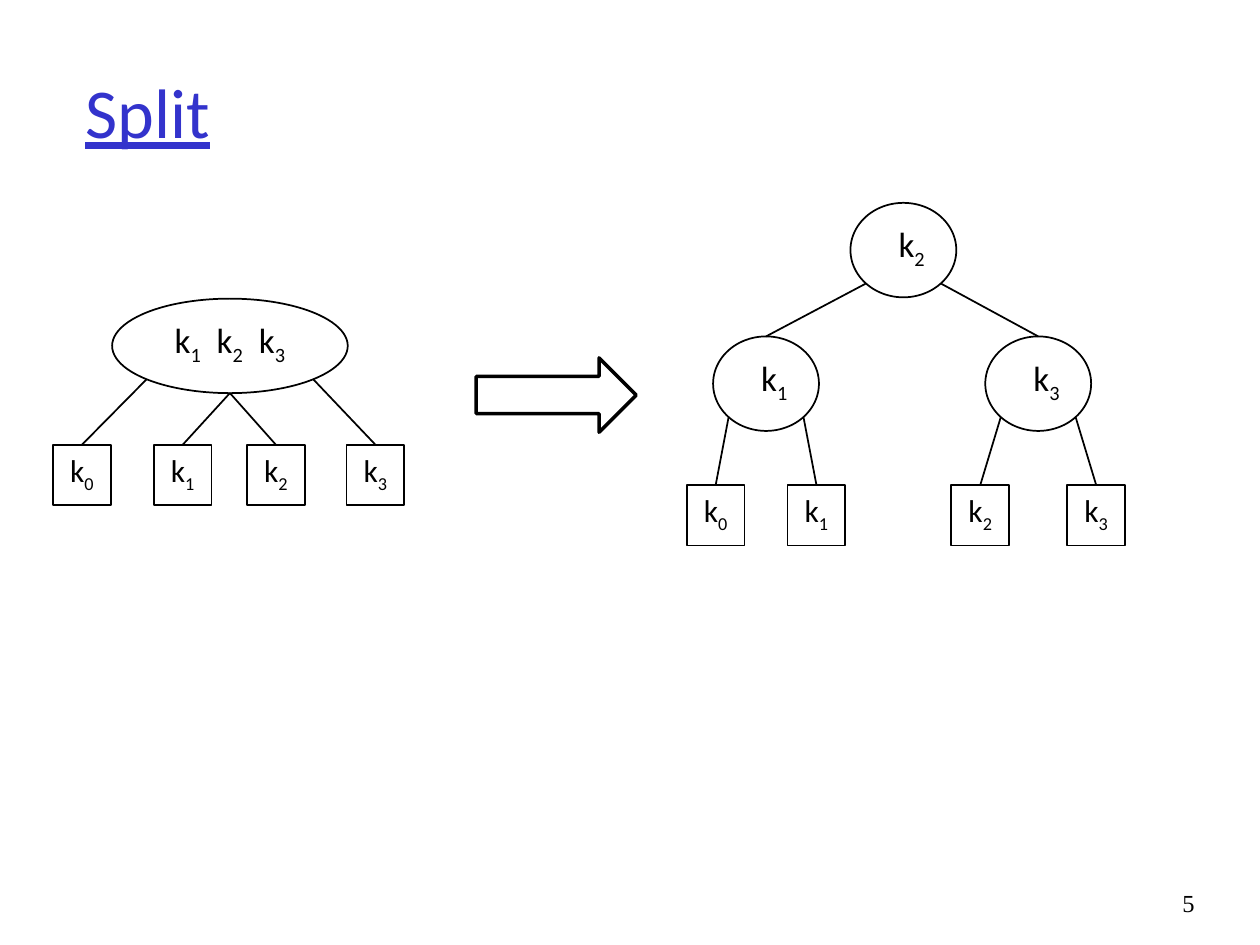
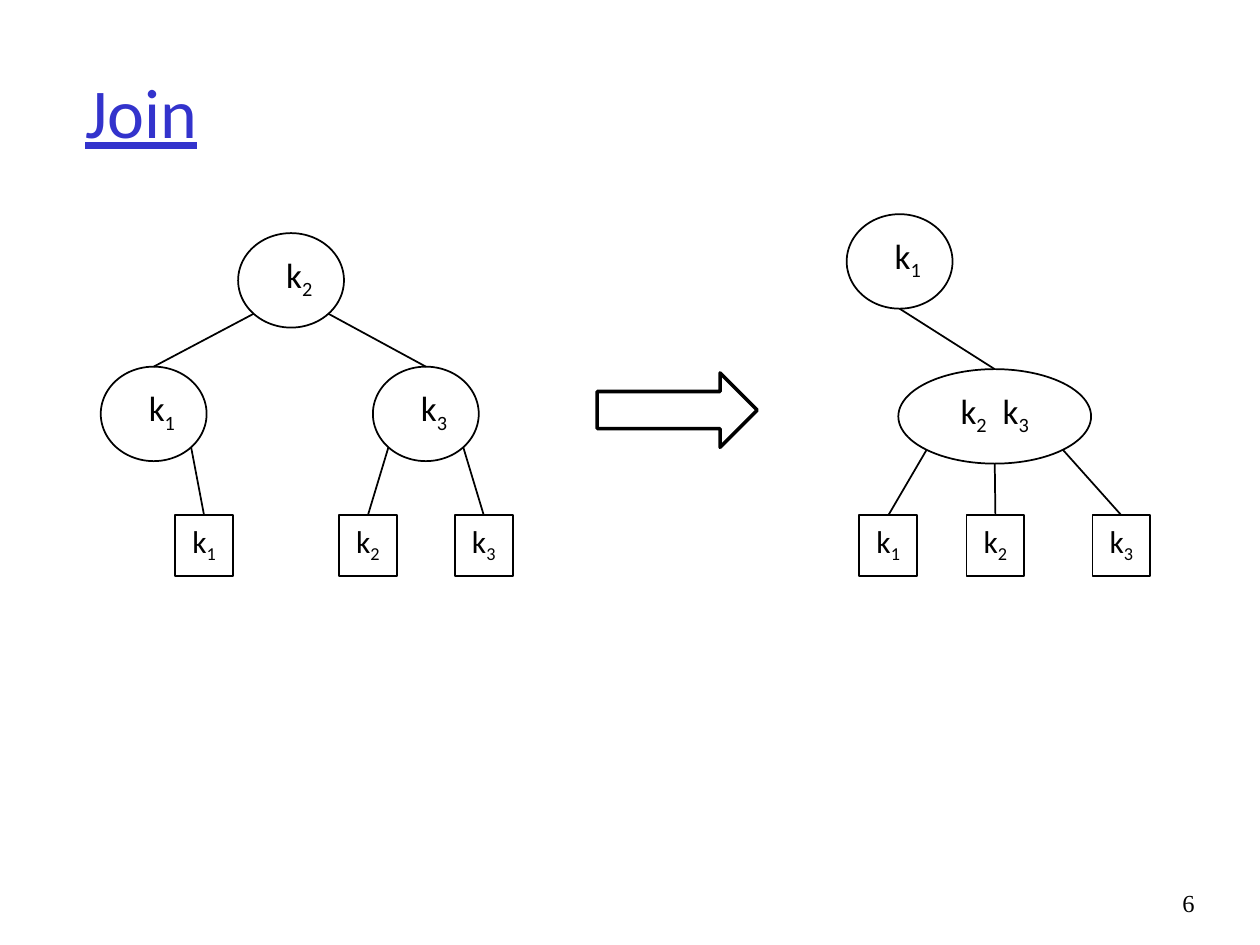
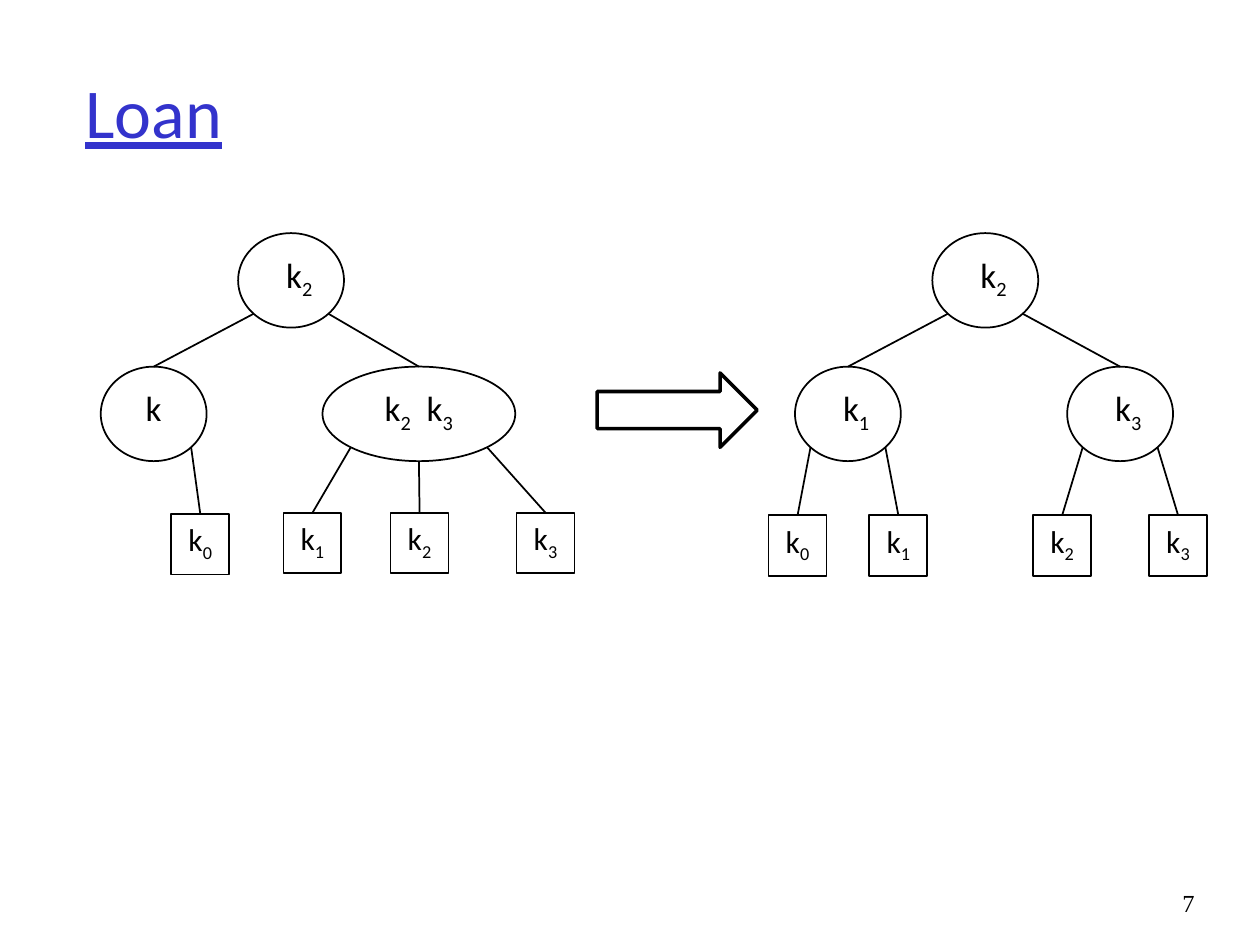
from dataclasses import dataclass
from itertools import groupby
from math import sqrt

from lxml import etree
from pptx import Presentation
from pptx.dml.color import RGBColor
from pptx.enum import shapes, text
from pptx.oxml import ns
from pptx.util import Inches, Pt


@dataclass(frozen=True)
class Theme:
    title_color: RGBColor = RGBColor(0x33, 0x33, 0xCC)
    ink: RGBColor = RGBColor(0, 0, 0)
    font: str = "Calibri"
    number_font: str = "Times New Roman"
    title_size: int = 40
    number_size: int = 14
    thin: int = 1
    thick: int = 2


theme = Theme()

# Node kinds: preset shape, width, height, text size, extra left margin
OVAL, RECTANGLE = shapes.MSO_SHAPE.OVAL, shapes.MSO_SHAPE.RECTANGLE
kinds = {
    "single": (OVAL, 0.84, 0.75, 20, 0.13),
    "plain": (OVAL, 0.84, 0.75, 20, 0),
    "double": (OVAL, 1.53, 0.75, 20, 0),
    "triple": (OVAL, 1.87, 0.75, 20, 0),
    "leaf": (RECTANGLE, 0.46, 0.48, 18, 0),
}

# Trees: label, kind, offset from the root, parent label,
# side of the parent where the edge starts (-1 left, 0 bottom, 1 right)
triple_root = [
    ("k1  k2  k3", "triple", 0, 0, None, 0),
    ("k0", "leaf", -0.47, 1.16, "k1  k2  k3", -1),
    ("k1", "leaf", 0.33, 1.16, "k1  k2  k3", 0),
    ("k2", "leaf", 1.07, 1.16, "k1  k2  k3", 0),
    ("k3", "leaf", 1.86, 1.16, "k1  k2  k3", 1),
]
binary = [
    ("k2", "single", 0, 0, None, 0),
    ("k1", "single", -1.09, 1.06, "k2", -1),
    ("k3", "single", 1.07, 1.06, "k2", 1),
    ("k0", "leaf", -1.3, 2.24, "k1", -1),
    ("k1", "leaf", -0.5, 2.24, "k1", 1),
    ("k2", "leaf", 0.8, 2.24, "k3", -1),
    ("k3", "leaf", 1.72, 2.24, "k3", 1),
]
binary_without_k0 = [node for node in binary if node[0] != "k0"]
double_leaves = [("k1", -0.31, -1), ("k2", 0.54, 0), ("k3", 1.54, 1)]
joined = [
    ("k1", "single", 0, 0, None, 0),
    ("k2  k3", "double", 0.41, 1.23, "k1", 0),
] + [(label, "leaf", 0.41 + offset, 2.39, "k2  k3", side)
     for label, offset, side in double_leaves]
lender = [
    ("k2", "single", 0, 0, None, 0),
    ("k", "plain", -1.09, 1.06, "k2", -1),
    ("k2  k3", "double", 0.67, 1.06, "k2", 1),
    ("k0", "leaf", -0.53, 2.23, "k", 1),
] + [(label, "leaf", 0.67 + offset, 2.22, "k2  k3", side)
     for label, offset, side in double_leaves]

# Slides: title, number, arrow position, trees with the position of their root
slides = [
    ("Split", "5", (3.78, 2.84), [(triple_root, 0.89, 2.37), (binary, 6.75, 1.61)]),
    ("Join", "6", (4.74, 2.96), [(binary_without_k0, 1.89, 1.85), (joined, 6.72, 1.7)]),
    ("Loan", "7", (4.74, 2.96), [(lender, 1.89, 1.85), (binary, 7.4, 1.85)]),
]


def add_outline(slide, preset, left, top, width, height, line_width):
    shape = slide.shapes.add_shape(
        preset, Inches(left), Inches(top), Inches(width), Inches(height))
    shape.shadow.inherit = False
    shape.fill.background()
    shape.line.color.rgb = theme.ink
    shape.line.width = Pt(line_width)
    return shape


def add_text(slide, content, box, font, size, color):
    textbox = slide.shapes.add_textbox(*[Inches(length) for length in box])
    textbox.text_frame.word_wrap = True
    textbox.text_frame.text = content
    paragraph = textbox.text_frame.paragraphs[0]
    run_font = paragraph.runs[0].font
    run_font.name, run_font.size = font, Pt(size)
    run_font.color.rgb = color
    return textbox.text_frame


presentation = Presentation()
presentation.slide_width, presentation.slide_height = Inches(10), Inches(7.5)

for title, number, arrow, trees in slides:
    slide = presentation.slides.add_slide(presentation.slide_layouts[6])

    # Title and slide number
    frame = add_text(slide, title, (0.58, 0.25, 8.5, 1.25),
                     theme.font, theme.title_size, theme.title_color)
    frame.vertical_anchor = text.MSO_ANCHOR.MIDDLE
    frame.paragraphs[0].runs[0].font.underline = True
    frame = add_text(slide, number, (9.08, 7, 0.5, 0.5),
                     theme.number_font, theme.number_size, theme.ink)
    frame.paragraphs[0].alignment = text.PP_ALIGN.RIGHT

    # Arrow from the tree before to the tree after
    add_outline(slide, shapes.MSO_SHAPE.RIGHT_ARROW, *arrow, 1.27, 0.59, theme.thick)

    for tree, root_left, root_top in trees:
        parents = {}
        for label, kind, offset_x, offset_y, parent, side in tree:
            preset, width, height, size, shift = kinds[kind]
            left, top = root_left + offset_x, root_top + offset_y
            center = left + width / 2

            # Node with its keys, digits as subscripts
            node = add_outline(slide, preset, left, top, width, height, theme.thin)
            frame = node.text_frame
            frame.vertical_anchor = text.MSO_ANCHOR.TOP
            frame.margin_left = Inches(0.1 + shift)
            paragraph = frame.paragraphs[0]
            paragraph.alignment = text.PP_ALIGN.CENTER
            for is_digit, letters in groupby(label, str.isdigit):
                run = paragraph.add_run()
                run.text = "".join(letters)
                run.font.name, run.font.size = theme.font, Pt(size)
                run.font.color.rgb = theme.ink
                if is_digit:
                    run.font._element.set("baseline", "-25000")

            # Edge from the parent's rim to the top of the node
            if parent:
                parent_center, parent_top, parent_width, parent_height = parents[parent]
                start_x = parent_center + side * parent_width / 2 / sqrt(2)
                drop = 1 / sqrt(2) if side else 1
                start_y = parent_top + parent_height / 2 * (1 + drop)
                edge = slide.shapes.add_connector(
                    shapes.MSO_CONNECTOR.STRAIGHT, Inches(start_x), Inches(start_y),
                    Inches(center), Inches(top))
                edge.line.color.rgb = theme.ink
                edge.line.width = Pt(theme.thin)
                etree.SubElement(edge._element.spPr, ns.qn("a:effectLst"))
            if kind != "leaf":
                parents[label] = (center, top, width, height)

presentation.save("out.pptx")
